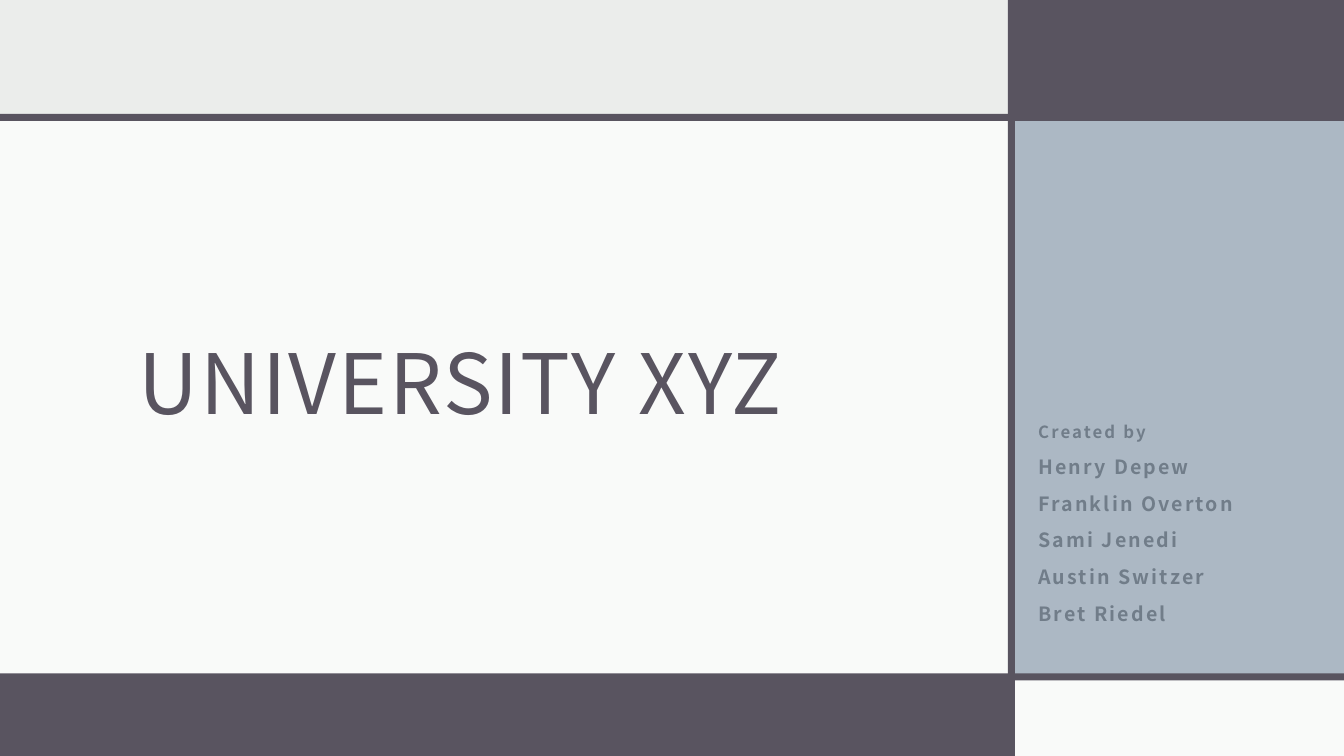
from lxml.etree import SubElement
from pptx import Presentation
from pptx.dml.color import RGBColor
from pptx.enum.shapes import MSO_SHAPE
from pptx.enum.text import MSO_ANCHOR, MSO_AUTO_SIZE, PP_ALIGN
from pptx.oxml.ns import qn
from pptx.util import Pt

COLORS = {
    "background": "EBEDEB",
    "plum": "595460",
    "white": "FFFFFF",
    "blue": "97A7B8",
    "black": "000000",
}
FONT = "Noto Sans CJK JP"
WIDTH, HEIGHT = 960, 540
SIDE_LEFT = 721.44
SIDE_WIDTH = WIDTH - SIDE_LEFT
RULE = 5.04
LETTER_SPACING = "150"
AUTHORS = ["Henry Depew", "Franklin Overton", "Sami Jenedi",
           "Austin Switzer", "Bret Riedel"]


def set_values(target, values):
    for name, value in values.items():
        setattr(target, name, value)


def place(shape, box):
    names = ("left", "top", "width", "height")
    set_values(shape, {name: Pt(value) for name, value in zip(names, box)})


def add_block(slide, box, color, opacity=100):
    """Add a borderless rectangle, optionally translucent."""
    shape = slide.shapes.add_shape(MSO_SHAPE.RECTANGLE, *map(Pt, box))
    shape.shadow.inherit = False
    shape.line.fill.background()
    shape.fill.solid()
    shape.fill.fore_color.rgb = RGBColor.from_string(COLORS[color])
    if opacity < 100:
        fill_color = shape.element.spPr.find(".//" + qn("a:srgbClr"))
        SubElement(fill_color, qn("a:alpha"), val=str(opacity * 1000))
    return shape


def fill_placeholder(placeholder, box, lines, color, bold, frame_values, paragraph_values):
    """Write (text, size) lines into a placeholder and format them."""
    place(placeholder, box)
    frame = placeholder.text_frame
    set_values(frame, {
        "word_wrap": True,
        "auto_size": MSO_AUTO_SIZE.NONE,
        "margin_left": Pt(8.64),
        "margin_right": Pt(8.64),
        **frame_values,
    })
    frame.text = "\n".join(text for text, size in lines)
    for paragraph, (text, size) in zip(frame.paragraphs, lines):
        set_values(paragraph, {"alignment": PP_ALIGN.LEFT, **paragraph_values})
        font = paragraph.runs[0].font
        set_values(font, {"name": FONT, "size": Pt(size), "bold": bold})
        font.color.rgb = RGBColor.from_string(COLORS[color])
    for properties in placeholder.element.iter(qn("a:rPr")):
        properties.set("spc", LETTER_SPACING)


def main():
    presentation = Presentation()
    presentation.slide_width, presentation.slide_height = Pt(WIDTH), Pt(HEIGHT)
    slide = presentation.slides.add_slide(presentation.slide_layouts[0])
    background = slide.background.fill
    background.solid()
    background.fore_color.rgb = RGBColor.from_string(COLORS["background"])

    # Blocks behind the text
    title, subtitle = slide.placeholders
    for block in (
        add_block(slide, (SIDE_LEFT, 0, SIDE_WIDTH, 83.52), "plum"),
        add_block(slide, (0, 86.4, SIDE_LEFT, 395.28), "white", 75),
    ):
        title.element.addprevious(block.element)

    # Title and authors
    fill_placeholder(
        title, (90, 113.04, 580.32, 198.72), [("UNIVERSITY XYZ", 59.4)], "plum", False,
        {"vertical_anchor": MSO_ANCHOR.BOTTOM, "margin_top": Pt(8.64), "margin_bottom": Pt(4)},
        {"line_spacing": 1.25},
    )
    fill_placeholder(
        subtitle, (732.96, 293.04, 182.16, 174.24),
        [("Created by", 12)] + [(author, 14) for author in AUTHORS], "black", True,
        {"vertical_anchor": MSO_ANCHOR.TOP, "margin_top": Pt(6), "margin_bottom": Pt(7.2)},
        {"space_before": Pt(9.3), "line_spacing": Pt(16.8)},
    )

    # Footer, and the translucent side panel that tints the authors
    add_block(slide, (0, 483.84, 724.32, HEIGHT - 483.84), "plum")
    add_block(slide, (SIDE_LEFT, 82.8, SIDE_WIDTH, 402.48), "blue", 75)
    add_block(slide, (SIDE_LEFT, 485.28, SIDE_WIDTH, HEIGHT - 485.28), "white", 75)

    # Dividing rules
    for top in (81.36, 480.96):
        add_block(slide, (0, top, WIDTH, RULE), "plum")
    add_block(slide, (720, 0, RULE, HEIGHT), "plum")

    presentation.save("out.pptx")


if __name__ == "__main__":
    main()
